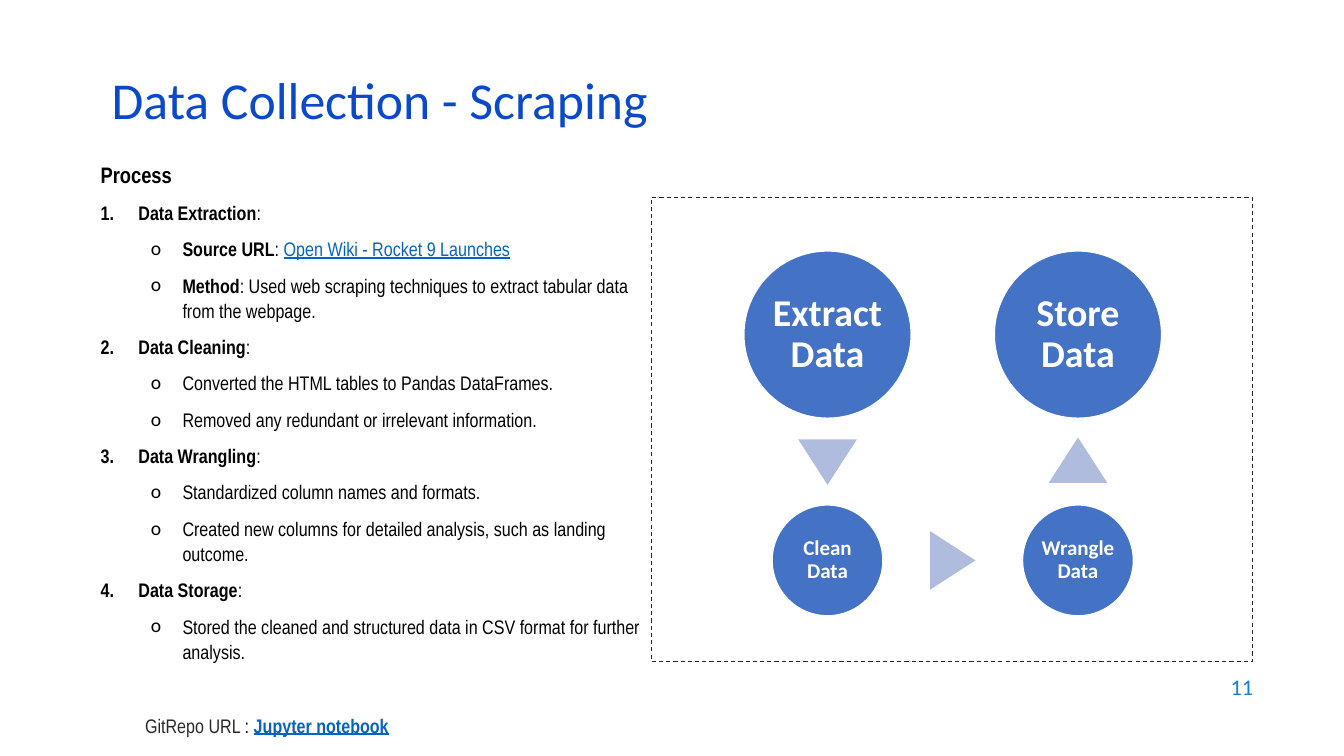
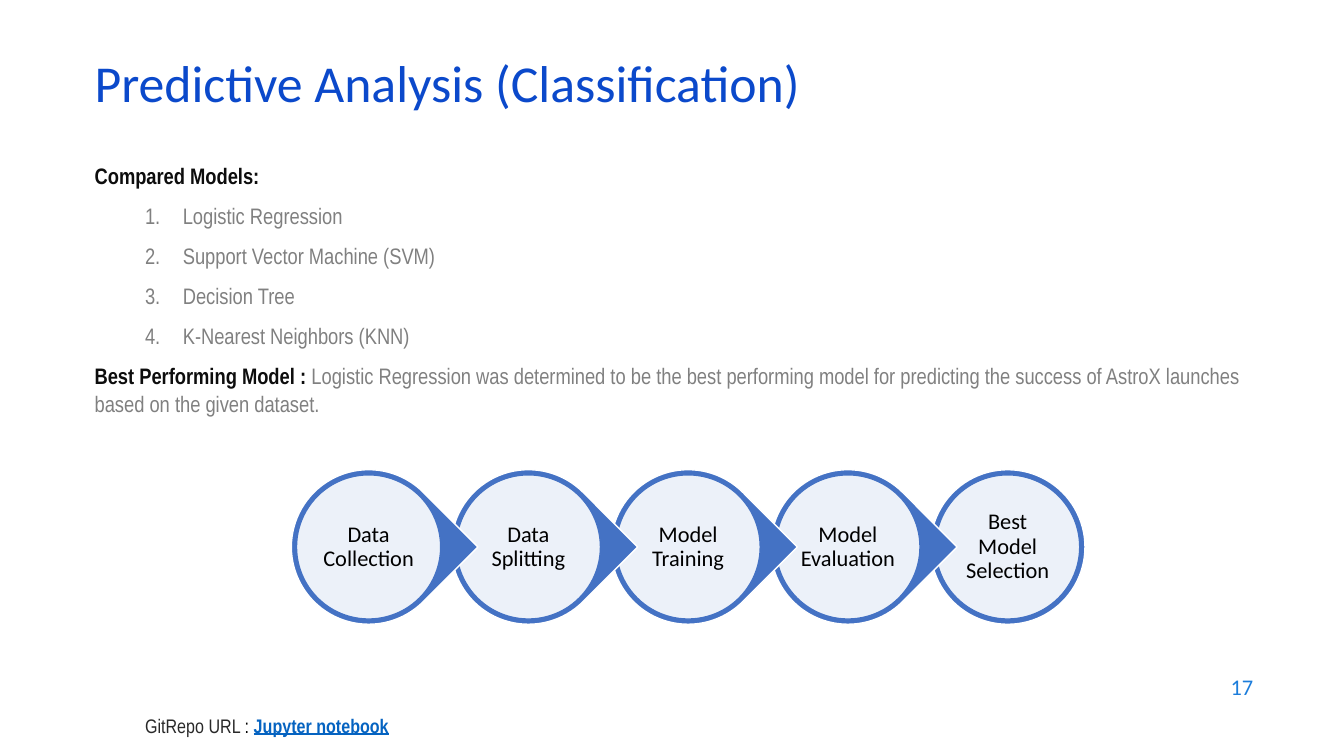
from dataclasses import dataclass
from typing import NamedTuple

from lxml.etree import SubElement
from pptx import Presentation
from pptx.dml.color import RGBColor
from pptx.enum.dml import MSO_LINE
from pptx.enum.shapes import MSO_SHAPE
from pptx.enum.text import MSO_ANCHOR, PP_ALIGN
from pptx.oxml.ns import qn
from pptx.util import Pt

# Shared look
HEAD, BODY = "Calibri", "Arial Narrow"
TITLE, PAGE, LINK = "0B49CB", "1C7DDB", "0563C1"
BLUE, PALE, WHITE, BLACK = "4472C4", "B0BCDE", "FFFFFF", "000000"
INK, GRAY, DARK = "0D0D0D", "808080", "292929"


class Run(NamedTuple):
    text: str
    color: str = BLACK
    bold: bool = False
    underline: bool = False


@dataclass
class Para:
    runs: list[Run]
    size: float = 14
    level: int = 0
    left: float = 0
    hang: float = 0
    bullet: str = ""


@dataclass
class Step:
    text: str
    cx: float
    cy: float
    size: float
    font: float


class Arrow(NamedTuple):
    cx: float
    cy: float
    turn: float


def rgb(color: str) -> RGBColor:
    return RGBColor.from_string(color)


def add_run(p, run: Run, size: float, font: str) -> None:
    r = p.add_run()
    r.text = run.text
    r.font.name, r.font.size = font, Pt(size)
    r.font.bold, r.font.underline = run.bold, run.underline
    r.font.color.rgb = rgb(run.color)


def add_box(s, x: float, y: float, w: float, h: float, anchor=MSO_ANCHOR.TOP):
    tf = s.shapes.add_textbox(Pt(x), Pt(y), Pt(w), Pt(h)).text_frame
    tf.word_wrap = True
    tf.vertical_anchor = anchor
    return tf


def add_shape(s, kind, x: float, y: float, w: float, h: float, fill: str = "",
              line: str = "", weight: float = 1, turn: float = 0):
    sp = s.shapes.add_shape(kind, Pt(x), Pt(y), Pt(w), Pt(h))
    sp.shadow.inherit = False
    sp.rotation = turn
    if fill:
        sp.fill.solid()
        sp.fill.fore_color.rgb = rgb(fill)
    else:
        sp.fill.background()
    if line:
        sp.line.color.rgb = rgb(line)
        sp.line.width = Pt(weight)
    else:
        sp.line.fill.background()
    return sp


def add_label(sp, text: str, size: float, color: str, bold: bool = False) -> None:
    tf = sp.text_frame
    tf.word_wrap = True
    tf.vertical_anchor = MSO_ANCHOR.MIDDLE
    tf.margin_left = tf.margin_right = tf.margin_top = tf.margin_bottom = Pt(1)
    p = tf.paragraphs[0]
    p.alignment, p.line_spacing = PP_ALIGN.CENTER, 0.9
    add_run(p, Run(text, color, bold), size, HEAD)


def add_body(tf, paras: list[Para]) -> None:
    for i, para in enumerate(paras):
        p = tf.add_paragraph() if i else tf.paragraphs[0]
        p.level, p.line_spacing, p.space_after = para.level, 1.07, Pt(8)
        pPr = p._p.get_or_add_pPr()
        pPr.set("marL", str(Pt(para.left)))
        pPr.set("indent", str(Pt(-para.hang)))
        if para.bullet == "1.":
            SubElement(pPr, qn("a:buFont"), typeface=BODY)
            SubElement(pPr, qn("a:buAutoNum"), type="arabicPeriod")
        elif para.bullet:
            SubElement(pPr, qn("a:buFont"), typeface=HEAD)
            SubElement(pPr, qn("a:buChar"), char=para.bullet)
        for run in para.runs:
            add_run(p, run, para.size, BODY)


def add_frame(prs, title: str, x: float, y: float, page: int):
    """Add a blank slide with its title, page number and footer."""
    s = prs.slides.add_slide(prs.slide_layouts[6])
    p = add_box(s, x, y, 828, 43.2, MSO_ANCHOR.MIDDLE).paragraphs[0]
    p.line_spacing = 0.7
    add_run(p, Run(title, TITLE), 37, HEAD)

    p = add_box(s, 686.2, 474.5, 216, 31.7, MSO_ANCHOR.MIDDLE).paragraphs[0]
    p.alignment = PP_ALIGN.RIGHT
    add_run(p, Run(str(page), PAGE), 16, HEAD)

    p = add_box(s, 60.5, 506.2, 366.5, 24.5).paragraphs[0]
    p._p.get_or_add_pPr().set("marL", str(Pt(36)))
    for run in (Run("GitRepo URL ", DARK), Run(": "),
                Run("Jupyter notebook", LINK, True, True)):
        add_run(p, run, 14, BODY)
    return s


def topic(text: str) -> Para:
    return Para([Run(text, bold=True), Run(":")], left=27, hang=27, bullet="1.")


def detail(*runs: Run) -> Para:
    return Para(list(runs), level=1, left=58.5, hang=22.5, bullet="o")


def scraping_slide(prs) -> None:
    s = add_frame(prs, "Data Collection - Scraping", 72.7, 54.7, 11)
    frame = add_shape(s, MSO_SHAPE.RECTANGLE, 465.1, 141.1, 429.8, 331.2,
                      line="262626", weight=0.75)
    frame.line.dash_style = MSO_LINE.DASH

    # Process list
    add_body(add_box(s, 64.8, 110.2, 401, 429.8), [
        Para([Run("Process", bold=True)], size=16),
        topic("Data Extraction"),
        detail(Run("Source URL", bold=True), Run(": "),
               Run("Open Wiki - Rocket 9 Launches", LINK, underline=True)),
        detail(Run("Method", bold=True),
               Run(": Used web scraping techniques to extract tabular data "
                   "from the webpage.")),
        topic("Data Cleaning"),
        detail(Run("Converted the HTML tables to Pandas DataFrames.")),
        detail(Run("Removed any redundant or irrelevant information.")),
        topic("Data Wrangling"),
        detail(Run("Standardized column names and formats.")),
        detail(Run("Created new columns for detailed analysis, such as "
                   "landing outcome.")),
        topic("Data Storage"),
        detail(Run("Stored the cleaned and structured data in CSV format for "
                   "further analysis.")),
    ])

    # Four steps, down the left column and up the right one
    left, right, top, bottom = 591.1, 770, 239, 400.3
    for step in (Step("Extract Data", left, top, 119.5, 27),
                 Step("Clean Data", left, bottom, 79.2, 15),
                 Step("Wrangle Data", right, bottom, 79.2, 15),
                 Step("Store Data", right, top, 119.5, 27)):
        sp = add_shape(s, MSO_SHAPE.OVAL, step.cx - step.size / 2,
                       step.cy - step.size / 2, step.size, step.size, BLUE, WHITE)
        add_label(sp, step.text, step.font, WHITE, True)
    w, h = 41.8, 32.4
    for arrow in (Arrow(left, 330.1, 180), Arrow((left + right) / 2, bottom, 90),
                  Arrow(right, 328.7, 0)):
        add_shape(s, MSO_SHAPE.ISOSCELES_TRIANGLE, arrow.cx - w / 2,
                  arrow.cy - h / 2, w, h, PALE, turn=arrow.turn)


def classification_slide(prs) -> None:
    s = add_frame(prs, "Predictive Analysis (Classification)", 60.5, 42.5, 17)

    # Model list and result
    models = ("Logistic Regression", "Support Vector Machine (SVM)",
              "Decision Tree", "K-Nearest Neighbors (KNN)")
    add_body(add_box(s, 60.5, 110.9, 833.8, 377.3), [
        Para([Run("Compared Models:", INK, True)], size=16),
        *(Para([Run(m, GRAY)], 16, 1, 63, 27, "1.") for m in models),
        Para([Run("Best Performing Model : ", INK, True),
              Run("Logistic Regression was determined to be the best performing "
                  "model for predicting the success of AstroX launches based on "
                  "the given dataset.", GRAY)], size=16),
    ])

    # Chain of stages, drawn from the last so each point overlaps the next
    stages = ("Data Collection", "Data Splitting", "Model Training",
              "Model Evaluation", "Best Model Selection")
    x0, y, pitch, outer, inner = 208.1, 335.5, 114.12, 110.4, 103
    gap = (outer - inner) / 2
    for i, stage in reversed(list(enumerate(stages))):
        x, last = x0 + i * pitch, i == len(stages) - 1
        kind = MSO_SHAPE.OVAL if last else MSO_SHAPE.TEAR
        add_shape(s, kind, x, y, outer, outer, BLUE, WHITE, turn=0 if last else 45)
        disc = add_shape(s, MSO_SHAPE.OVAL, x + gap, y + gap, inner, inner,
                         WHITE, BLUE)
        color = disc.fill._xPr.find(qn("a:solidFill"))[0]
        SubElement(color, qn("a:alpha"), val="90000")
        add_label(disc, stage, 16, BLACK)


def main() -> None:
    prs = Presentation()
    prs.slide_width, prs.slide_height = Pt(960), Pt(540)
    scraping_slide(prs)
    classification_slide(prs)
    prs.save("out.pptx")


if __name__ == "__main__":
    main()
